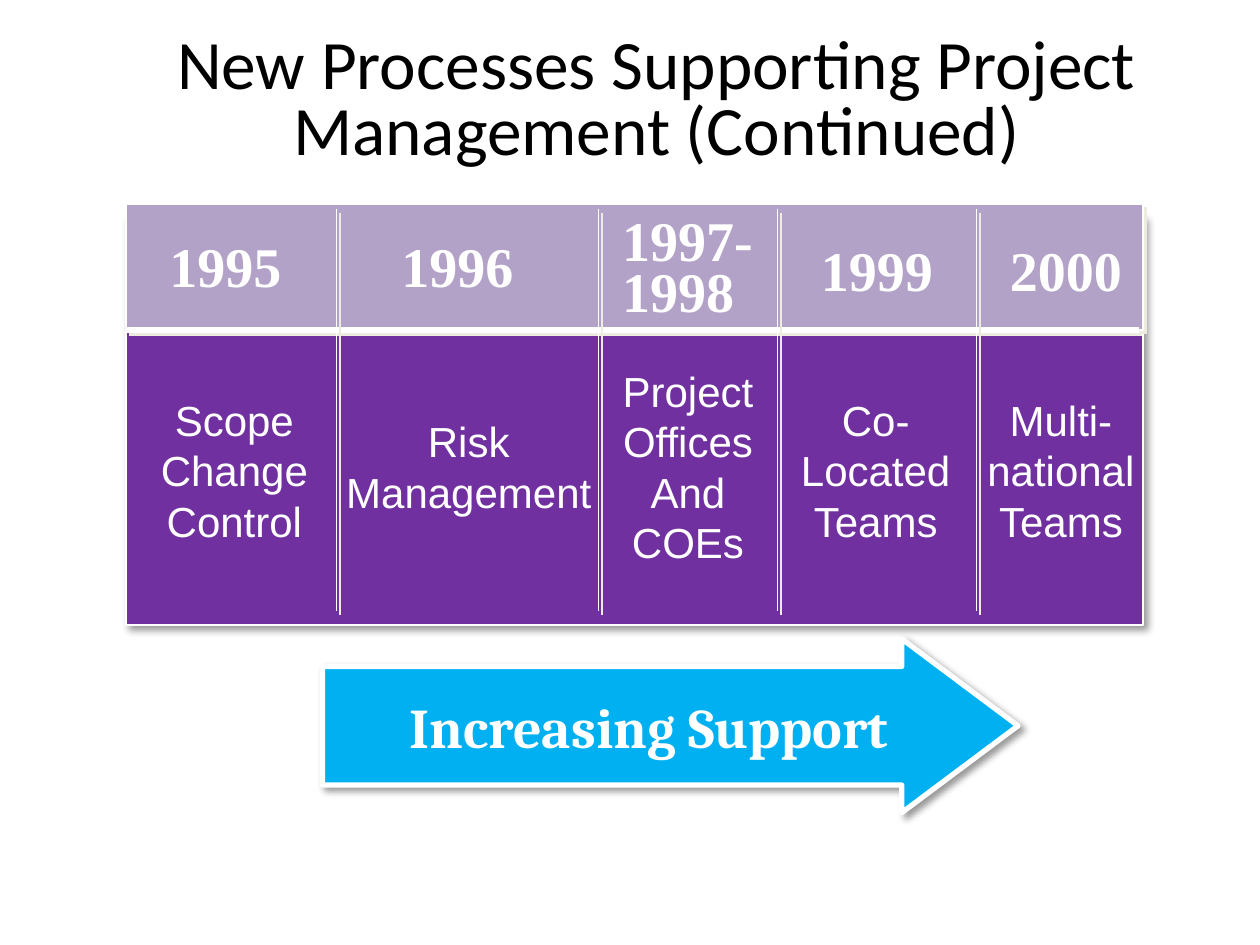
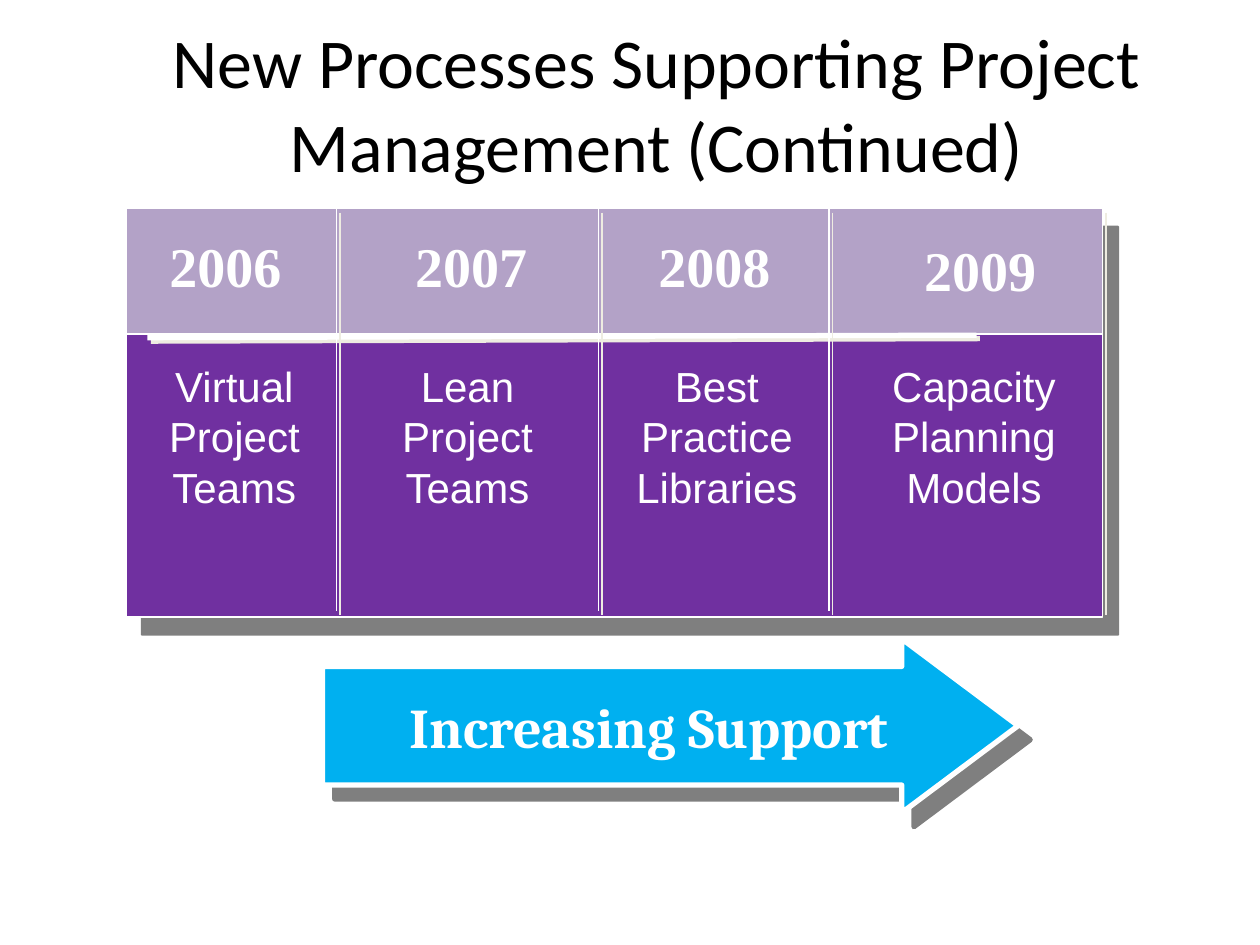
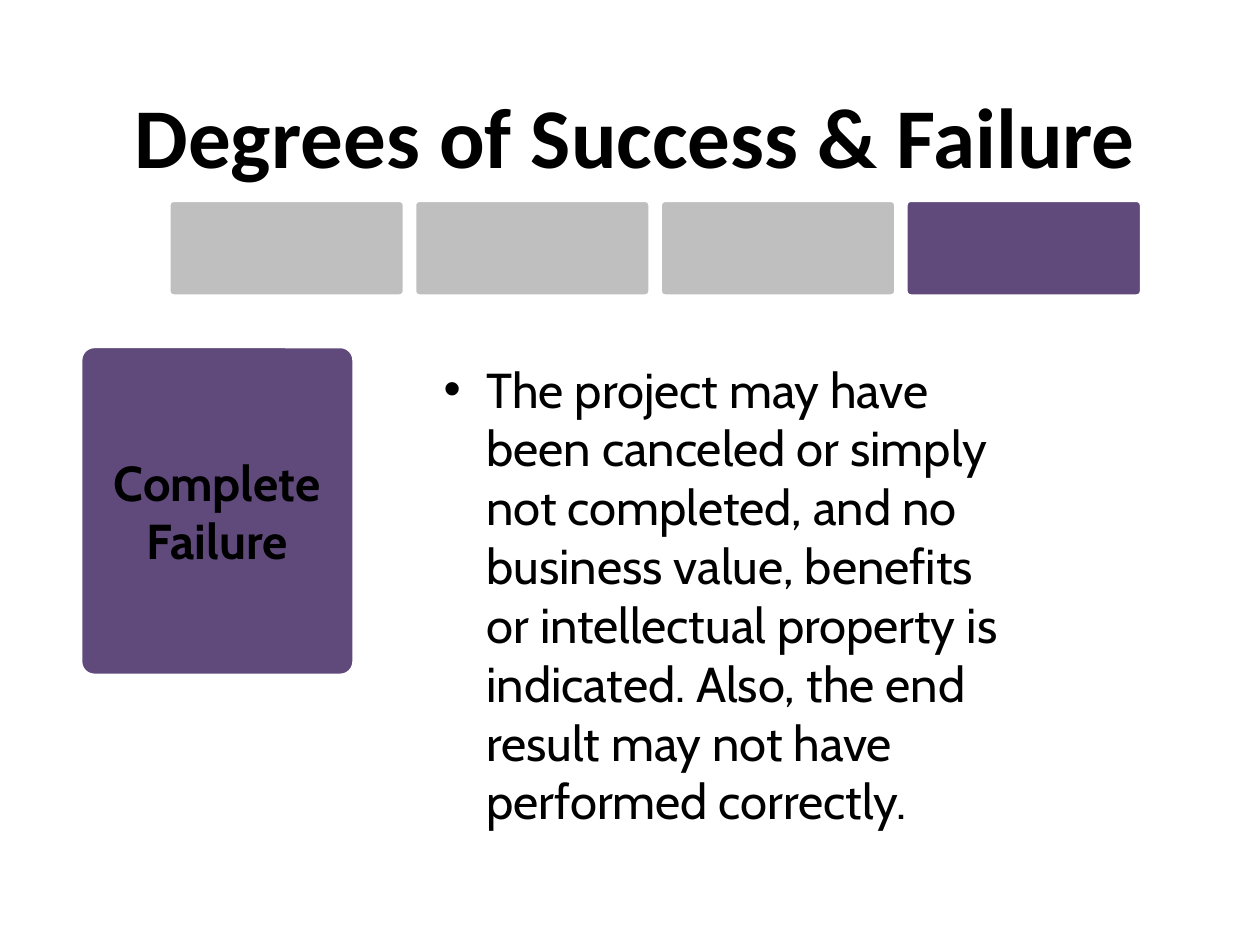
import pptx
import pptx.dml.color
import pptx.enum.shapes
import pptx.enum.text
import pptx.oxml
import pptx.oxml.ns
import pptx.util
from pptx.util import Inches

WHITE, BLACK = "FFFFFF", "000000"
VIOLET, LILAC, PLUM = "7030A0", "B3A2C7", "604A7B"
SKY, SILVER = "00B0F0", "BFBFBF"
SHAPE = pptx.enum.shapes.MSO_SHAPE
ALIGN = pptx.enum.text.PP_ALIGN
MIDDLE = pptx.enum.text.MSO_ANCHOR.MIDDLE

# Shadows: colour, opacity %, blur pt, distance pt, angle
SOFT = (BLACK, 40, 4, 3, 45)
CREAM = ("EEECE1", 100, 0, 2.8, 45)


def paint(shape, line_width, fill=None, shadow=None):
    """Give a shape or connector a white line, and a fill and shadow if named."""
    if fill:
        shape.fill.solid()
        shape.fill.fore_color.rgb = pptx.dml.color.RGBColor.from_string(fill)
    shape.line.color.rgb = pptx.dml.color.RGBColor.from_string(WHITE)
    shape.line.width = pptx.util.Pt(line_width)
    effect = ""
    if shadow:
        color, opacity, blur, distance, angle = shadow
        effect = (
            f'<a:outerShdw blurRad="{round(blur * 12700)}" dist="{round(distance * 12700)}" '
            f'dir="{angle * 60000}" algn="ctr" rotWithShape="0"><a:srgbClr val="{color}">'
            f'<a:alpha val="{opacity * 1000}"/></a:srgbClr></a:outerShdw>'
        )
    shape._element.spPr.append(pptx.oxml.parse_xml(
        f'<a:effectLst {pptx.oxml.ns.nsdecls("a")}>{effect}</a:effectLst>'))


def write(frame, text, font, size, color, bold=False, align=ALIGN.CENTER, spacing=None):
    frame.word_wrap = True
    frame.auto_size = pptx.enum.text.MSO_AUTO_SIZE.NONE
    frame.text = text
    for paragraph in frame.paragraphs:
        paragraph.alignment = align
        paragraph.line_spacing = spacing
        paragraph.space_before = pptx.util.Pt(0)
        paragraph.font.name = font
        paragraph.font.size = pptx.util.Pt(size)
        paragraph.font.bold = bold
        paragraph.font.color.rgb = pptx.dml.color.RGBColor.from_string(color)


deck = pptx.Presentation()
deck.slide_width, deck.slide_height = Inches(10), Inches(7.5)

# Each column: year, its centre and top, process, its centre and top
timelines = [
    {
        "title_size": 39.6, "title_spacing": 0.8,
        "edges": [1, 2.67, 4.75, 6.17, 7.75, 9.07], "dividers": [2.67, 4.75, 6.17, 7.75],
        "header_top": 1.62, "body_top": 1.72, "rule": (1, 2.62, 9.04, 2.62),
        "shadows": {"arrow": SOFT, "body": SOFT, "header": CREAM},
        "columns": [
            ("1995", 1.79, 1.79, "Scope\nChange\nControl", 1.86, 3.08),
            ("1996", 3.63, 1.79, "Risk\nManagement", 3.72, 3.25),
            ("1997-\n1998", 5.49, 1.71, "Project\nOffices\nAnd\nCOEs", 5.46, 2.85),
            ("1999", 6.96, 1.82, "Co-\vLocated\nTeams", 6.95, 3.08),
            ("2000", 8.46, 1.82, "Multi-\nnational\nTeams", 8.42, 3.08),
        ],
    },
    {
        "title_size": 40, "title_spacing": None,
        "edges": [1, 2.67, 4.75, 6.58, 8.75], "dividers": [2.67, 4.75, 6.58, 8.75],
        "header_top": 1.65, "body_top": 1.66, "rule": (1.17, 2.68, 7.75, 2.66),
        "shadows": {"arrow": (BLACK, 50, 0, 10.6, 49), "body": (BLACK, 50, 0, 13.5, 48),
                    "header": None},
        "columns": [
            ("2006", 1.79, 1.79, "Virtual Project Teams", 1.86, 2.81),
            ("2007", 3.74, 1.79, "Lean\nProject Teams", 3.71, 2.81),
            ("2008", 5.67, 1.79, "Best\nPractice\nLibraries", 5.69, 2.81),
            ("2009", 7.78, 1.82, "Capacity\nPlanning\nModels", 7.73, 2.81),
        ],
    },
]

for timeline in timelines:
    slide = deck.slides.add_slide(deck.slide_layouts[5])
    title = slide.shapes.title
    title.left, title.top, title.width, title.height = map(Inches, (1, 0.21, 8.42, 1.21))
    write(title.text_frame, "New Processes Supporting Project Management (Continued)",
          "Calibri", timeline["title_size"], BLACK, spacing=timeline["title_spacing"])

    support = slide.shapes.add_shape(
        SHAPE.RIGHT_ARROW, Inches(2.56), Inches(5.07), Inches(5.52), Inches(1.38))
    support.adjustments[0], support.adjustments[1] = 0.682, 0.669
    paint(support, 3, SKY, timeline["shadows"]["arrow"])
    write(support.text_frame, "Increasing Support", "Cambria", 32, WHITE, True, ALIGN.LEFT)
    support.text_frame.margin_left = Inches(0.69)
    support.text_frame.vertical_anchor = MIDDLE

    edges = timeline["edges"]
    for band, height, fill in [("body", 3.24, VIOLET), ("header", 1, LILAC)]:
        panel = slide.shapes.add_shape(
            SHAPE.RECTANGLE, Inches(edges[0]), Inches(timeline[band + "_top"]),
            Inches(edges[-1] - edges[0]), Inches(height))
        paint(panel, 1, fill, timeline["shadows"][band])

    for column, left, right in zip(timeline["columns"], edges, edges[1:]):
        year, year_center, year_top, process, process_center, process_top = column
        year_range = "\n" in year
        year_box = slide.shapes.add_textbox(
            Inches(year_center - 0.65), Inches(year_top), Inches(1.3),
            Inches(0.91 if year_range else 0.64))
        write(year_box.text_frame, year, "Times New Roman", 32, WHITE, True,
              ALIGN.LEFT if year_range else ALIGN.CENTER, 0.75 if year_range else None)

        width = right - left
        process_box = slide.shapes.add_textbox(
            Inches(process_center - width / 2), Inches(process_top), Inches(width),
            Inches(1.71 if process.count("\n") == 3 else 1.31))
        write(process_box.text_frame, process, "Arial", 24, WHITE)
        process_box.text_frame.margin_left = Inches(0.05)
        process_box.text_frame.margin_right = Inches(0.05)

    rules = [(timeline["rule"], 3)]
    rules += [((x, 1.66, x, 4.85), 1) for x in timeline["dividers"]]
    for ends, line_width in rules:
        rule = slide.shapes.add_connector(
            pptx.enum.shapes.MSO_CONNECTOR.STRAIGHT, *map(Inches, ends))
        paint(rule, line_width, shadow=CREAM)

# Degrees of success and failure
slide = deck.slides.add_slide(deck.slide_layouts[1])
title, meaning = slide.placeholders
title.left, title.top, title.width, title.height = map(Inches, (0.83, 0.46, 8.42, 1.21))
write(title.text_frame, "Degrees of Success & Failure", "Calibri", 48.6, BLACK, True)

degree = slide.shapes.add_shape(
    SHAPE.ROUNDED_RECTANGLE, Inches(0.64), Inches(2.75), Inches(2.17), Inches(2.61))
degree.adjustments[0] = 0.05
paint(degree, 2, PLUM)
write(degree.text_frame, "Complete\nFailure", "Cabin", 28, BLACK, True)
degree.text_frame.vertical_anchor = MIDDLE

meaning.left, meaning.top, meaning.width, meaning.height = map(Inches, (3.42, 2.8, 4.7, 3.87))
write(meaning.text_frame,
      "The project may have been canceled or simply not completed, and no business value, "
      "benefits or intellectual property is indicated. Also, the end result may not have "
      "performed correctly.", "Cabin", 28, BLACK, align=ALIGN.LEFT)
hanging = meaning.text_frame.paragraphs[0]._p.get_or_add_pPr()
hanging.set("marL", str(Inches(0.34)))
hanging.set("indent", str(Inches(-0.34)))

for step, fill in enumerate([SILVER, SILVER, SILVER, PLUM]):
    marker = slide.shapes.add_shape(
        SHAPE.ROUNDED_RECTANGLE, Inches(1.34 + 1.95 * step), Inches(1.59),
        Inches(1.87), Inches(0.76))
    marker.adjustments[0] = 0.05
    paint(marker, 2, fill)

deck.save("out.pptx")
